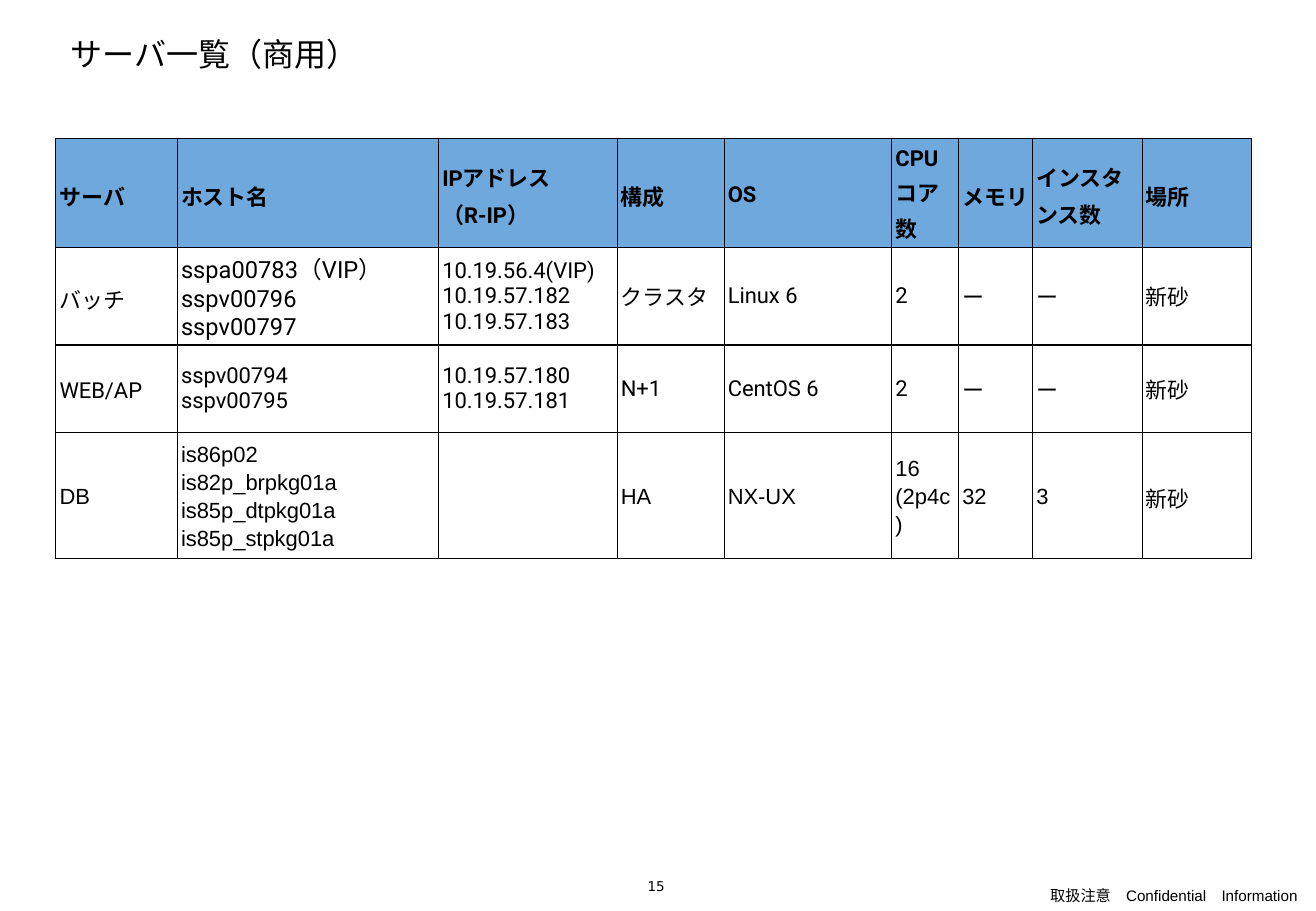
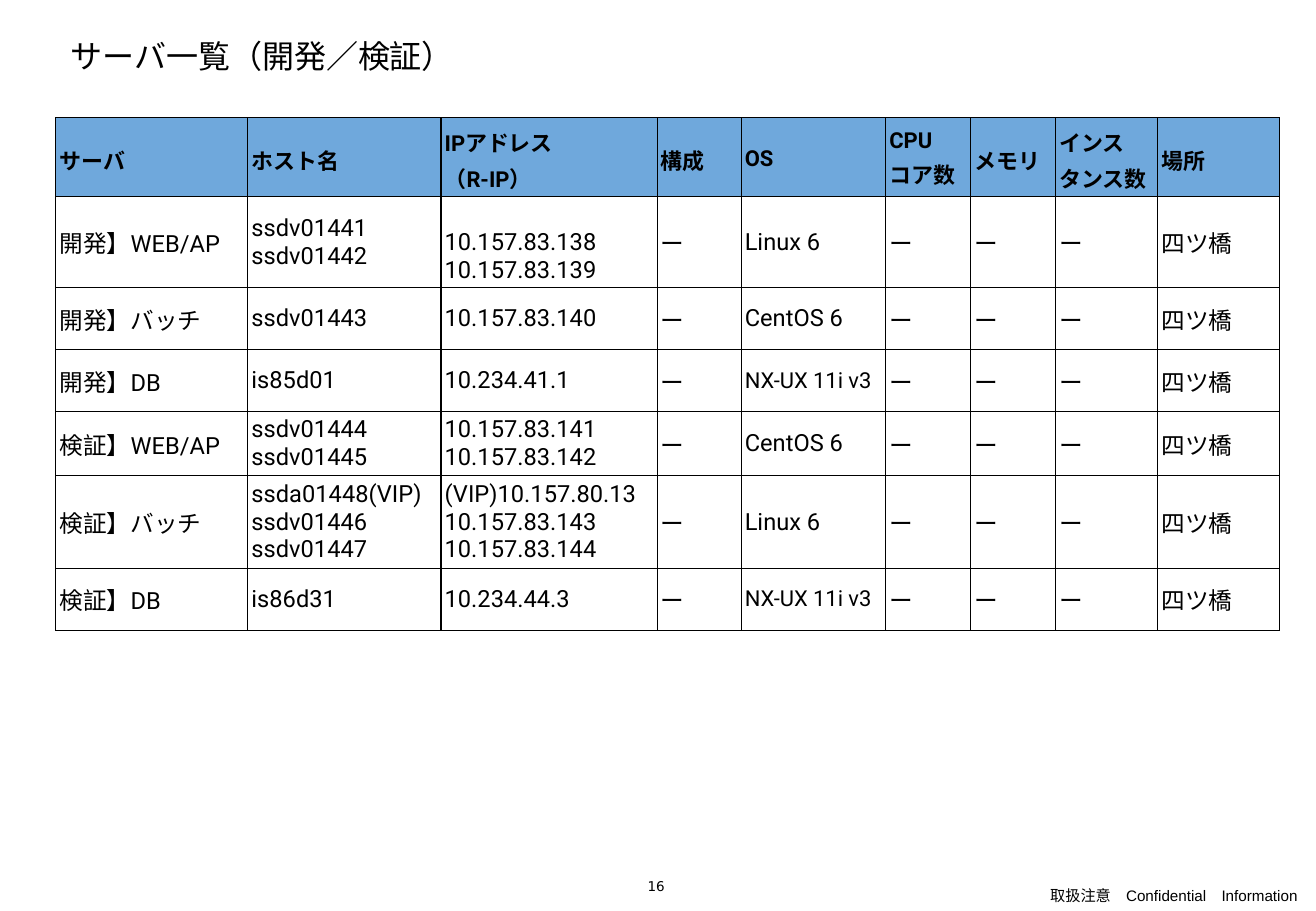
from lxml import etree
from pptx import Presentation
from pptx.dml.color import RGBColor
from pptx.enum.text import MSO_ANCHOR, PP_ALIGN
from pptx.oxml.ns import qn
from pptx.util import Inches, Pt

MIDDLE, TOP, BOTTOM = MSO_ANCHOR.MIDDLE, MSO_ANCHOR.TOP, MSO_ANCHOR.BOTTOM
LEFT, CENTER = PP_ALIGN.LEFT, PP_ALIGN.CENTER
COLORS = {"text": "000000", "border": "000000", "header": "6FA8DC", "body": "FFFFFF"}
FONT = "Roboto"

server_lists = [
    {
        "title": "サーバ一覧（商用）", "title_height": 0.44, "page": "15", "top": 1.14,
        "columns": [1, 2.15, 1.47, 0.88, 1.38, 0.55, 0.61, 0.9, 0.9],
        "heights": [0.9, 0.8, 0.72, 0.96],
        "instances": "インスタンス数",
        "size": 13, "label_spacing": 1.15,
        "sizes": {(1, 1): 14}, "anchors": {}, "arial_rows": [3],
        "servers": [
            ["バッチ", "sspa00783（VIP）\nsspv00796\nsspv00797",
             "10.19.56.4(VIP)\n10.19.57.182\n10.19.57.183",
             "クラスタ", "Linux 6", "2", "ー", "ー", "新砂"],
            ["WEB/AP", "sspv00794\nsspv00795", "10.19.57.180\n10.19.57.181",
             "N+1", "CentOS 6", "2", "ー", "ー", "新砂"],
            ["DB", "is86p02\nis82p_brpkg01a\nis85p_dtpkg01a\nis85p_stpkg01a", "",
             "HA", "NX-UX", "16\n(2p4c)", "32", "3", "新砂"],
        ],
    },
    {
        "title": "サーバ一覧（開発／検証）", "title_height": 0.47, "page": "16", "top": 0.97,
        "columns": [1.58, 1.59, 1.78, 0.69, 1.19, 0.7, 0.7, 0.84, 1],
        "heights": [0.65, 0.75, 0.51, 0.51, 0.51, 0.75, 0.51],
        "instances": "インス\nタンス数",
        "size": 14, "label_spacing": None,
        "sizes": {(3, 4): 13, (6, 4): 13}, "anchors": {(1, 2): BOTTOM}, "arial_rows": [],
        "servers": [
            [label, hosts, addresses, "ー", system, "ー", "ー", "ー", "四ツ橋"]
            for label, hosts, addresses, system in [
                ("開発】WEB/AP", "ssdv01441\nssdv01442",
                 "10.157.83.138\n10.157.83.139", "Linux 6"),
                ("開発】バッチ", "ssdv01443", "10.157.83.140", "CentOS 6"),
                ("開発】DB", "is85d01", "10.234.41.1", "NX-UX 11i v3"),
                ("検証】WEB/AP", "ssdv01444\nssdv01445",
                 "10.157.83.141\n10.157.83.142", "CentOS 6"),
                ("検証】バッチ", "ssda01448(VIP)\nssdv01446\nssdv01447",
                 "(VIP)10.157.80.13\n10.157.83.143\n10.157.83.144", "Linux 6"),
                ("検証】DB", "is86d31", "10.234.44.3", "NX-UX 11i v3"),
            ]
        ],
    },
]


def write_lines(frame, text, size, font=FONT, bold=False, spacing=None, align=LEFT):
    frame.word_wrap = True
    for index, line in enumerate(text.split("\n")):
        paragraph = frame.add_paragraph() if index else frame.paragraphs[0]
        paragraph.text = line
        paragraph.alignment = align
        if spacing:
            paragraph.line_spacing = spacing
        paragraph.font.size = Pt(size)
        paragraph.font.name = font
        paragraph.font.bold = bold
        paragraph.font.color.rgb = RGBColor.from_string(COLORS["text"])


def draw_borders(cell):
    properties = cell._tc.get_or_add_tcPr()
    for side in ("a:lnL", "a:lnR", "a:lnT", "a:lnB"):
        edge = etree.SubElement(properties, qn(side), w=str(Pt(0.75)))
        fill = etree.SubElement(edge, qn("a:solidFill"))
        etree.SubElement(fill, qn("a:srgbClr"), val=COLORS["border"])


deck = Presentation()
deck.slide_width, deck.slide_height = Inches(10.83), Inches(7.5)

for server_list in server_lists:
    slide = deck.slides.add_slide(deck.slide_layouts[6])

    labels = [
        (server_list["title"], (0.46, 0.22, 8.95, server_list["title_height"]),
         (0.12, 0.06), 19, FONT, LEFT, MIDDLE),
        (server_list["page"], (4.21, 7.18, 2.38, 0.28),
         (0.1, 0.05), 8, "DejaVu Sans", CENTER, TOP),
        ("取扱注意　Confidential　Information", (8.48, 7.25, 2.36, 0.25),
         (0.1, 0.05), 9, "Arial", CENTER, TOP),
    ]
    for text, place, (side_inset, end_inset), size, font, align, anchor in labels:
        frame = slide.shapes.add_textbox(*map(Inches, place)).text_frame
        frame.margin_left = frame.margin_right = Inches(side_inset)
        frame.margin_top = frame.margin_bottom = Inches(end_inset)
        frame.vertical_anchor = anchor
        write_lines(frame, text, size, font, align=align)

    headings = ["サーバ", "ホスト名", "IPアドレス\n（R-IP）", "構成", "OS",
                "CPU\nコア数", "メモリ", server_list["instances"], "場所"]
    rows = [headings] + server_list["servers"]
    columns, heights = server_list["columns"], server_list["heights"]
    table = slide.shapes.add_table(
        len(rows), len(columns), Inches(0.46), Inches(server_list["top"]),
        Inches(sum(columns)), Inches(sum(heights))).table
    table.first_row = table.horz_banding = False
    for column, width in zip(table.columns, columns):
        column.width = Inches(width)
    for row, height in zip(table.rows, heights):
        row.height = Inches(height)

    for r, values in enumerate(rows):
        is_header, is_arial = r == 0, r in server_list["arial_rows"]
        for c, value in enumerate(values):
            cell = table.cell(r, c)
            cell.margin_left = cell.margin_right = Inches(0.03)
            cell.margin_top = cell.margin_bottom = Inches(0.02 if is_arial else 0.03)
            cell.vertical_anchor = server_list["anchors"].get((r, c), MIDDLE)
            draw_borders(cell)
            cell.fill.solid()
            cell.fill.fore_color.rgb = RGBColor.from_string(
                COLORS["header" if is_header else "body"])
            if is_header or is_arial:
                spacing = 1.15
            else:
                spacing = server_list["label_spacing"] if c == 0 else None
            size = 13 if is_header else server_list["sizes"].get((r, c), server_list["size"])
            write_lines(cell.text_frame, value, size, "Arial" if is_arial else FONT,
                        is_header, spacing)

deck.save("out.pptx")
